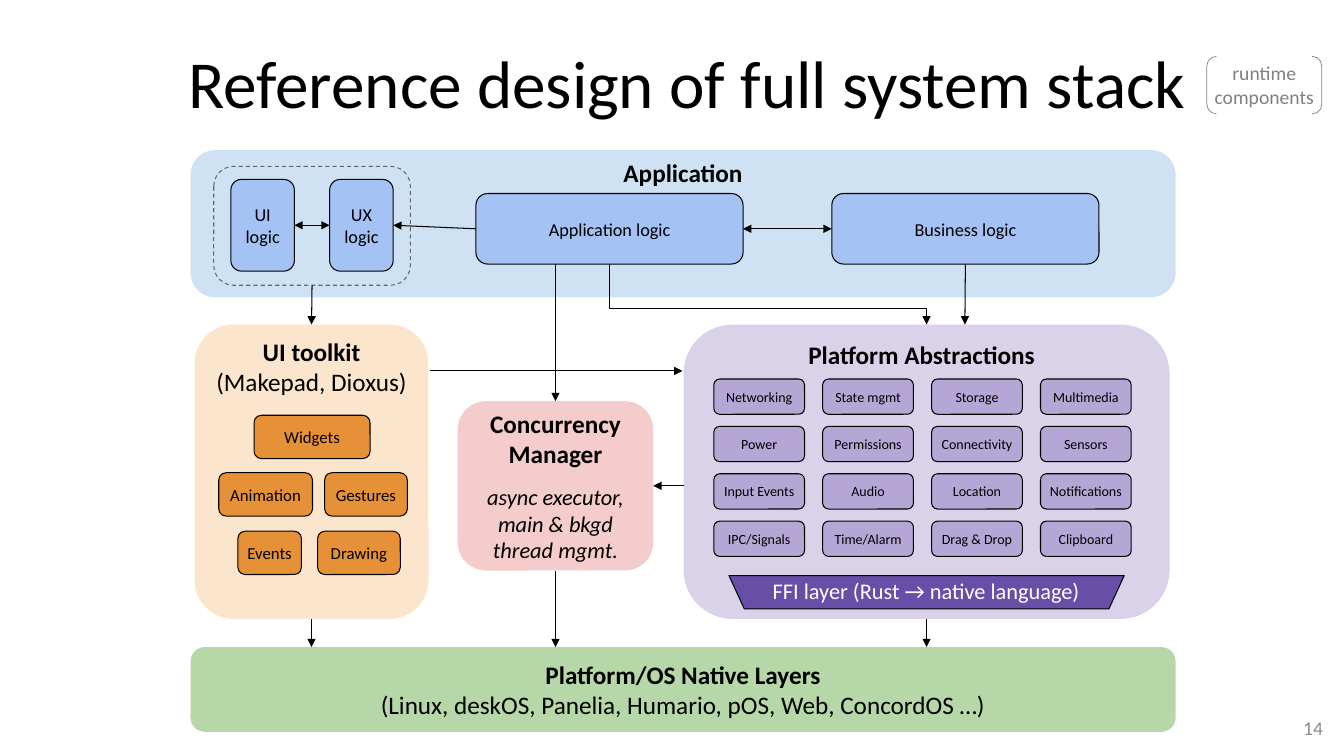
from dataclasses import dataclass
from typing import NamedTuple

from lxml.etree import SubElement
from pptx import Presentation
from pptx.dml.color import RGBColor
from pptx.enum.dml import MSO_LINE
from pptx.enum.shapes import MSO_CONNECTOR as Connector, MSO_SHAPE as Shape
from pptx.enum.text import MSO_ANCHOR as Anchor, PP_ALIGN as Align
from pptx.oxml.ns import qn
from pptx.util import Inches, Pt


@dataclass(frozen=True)
class Theme:
    """Colours, type sizes and line widths of the slide."""
    font: str = "Calibri"
    black: str = "000000"
    white: str = "FFFFFF"
    grey: str = "808080"
    number_grey: str = "8C8C8C"
    dash_grey: str = "666666"
    application: str = "CFE2F3"
    logic: str = "A4C2F4"
    toolkit: str = "FCE5CD"
    widget: str = "E69138"
    platform: str = "D9D2E9"
    service: str = "B4A7D6"
    ffi: str = "674EA7"
    manager: str = "F4CCCC"
    native: str = "B6D7A8"
    title_size: float = 48
    heading_size: float = 18
    detail_size: float = 16
    note_size: float = 14
    logic_size: float = 13
    widget_size: float = 12
    service_size: float = 10
    line_width: float = 0.75
    thin_width: float = 0.5


THEME = Theme()
TOP, LEFT, BOTTOM, RIGHT = range(4)


class Line(NamedTuple):
    """One paragraph of text with its look."""
    text: str
    size: float
    color: str = THEME.black
    bold: bool = False
    italic: bool = False
    before: float = 0


class Joint(NamedTuple):
    """The middle of one side of a shape."""
    shape: object
    side: int


def heading(text):
    """Describe a bold block heading."""
    return Line(text, THEME.heading_size, bold=True)


def write(shape, lines, anchor=Anchor.MIDDLE, align=Align.CENTER, insets=(0, 0, 0, 0)):
    """Fill the text frame of a shape with styled paragraphs."""
    frame = shape.text_frame
    frame.word_wrap = True
    frame.vertical_anchor = anchor
    (frame.margin_left, frame.margin_top,
     frame.margin_right, frame.margin_bottom) = map(Inches, insets)
    for index, line in enumerate(lines):
        paragraph = frame.add_paragraph() if index else frame.paragraphs[0]
        paragraph.text = line.text
        paragraph.alignment = align
        if line.before:
            paragraph.space_before = Pt(line.before)
        font = paragraph.font
        font.name, font.size = THEME.font, Pt(line.size)
        font.bold, font.italic = line.bold, line.italic
        font.color.rgb = RGBColor.from_string(line.color)


def add_text(slide, box, line, **layout):
    """Add a text box with one paragraph."""
    write(slide.shapes.add_textbox(*map(Inches, box)), [line], **layout)


def add_block(slide, box, fill=None, outline=None, lines=(), kind=Shape.ROUNDED_RECTANGLE,
              width=THEME.line_width, **layout):
    """Add a preset shape with optional fill, outline and text."""
    shape = slide.shapes.add_shape(kind, *map(Inches, box))
    shape.shadow.inherit = False
    if fill:
        shape.fill.solid()
        shape.fill.fore_color.rgb = RGBColor.from_string(fill)
    else:
        shape.fill.background()
    if outline:
        shape.line.color.rgb = RGBColor.from_string(outline)
        shape.line.width = Pt(width)
    else:
        shape.line.fill.background()
    if lines:
        write(shape, lines, **layout)
    return shape


def locate(end):
    """Give the slide position of a joint or of a point in inches."""
    if not isinstance(end, Joint):
        return tuple(map(Inches, end))
    shape, side = end
    x = shape.left + shape.width * {LEFT: 0, RIGHT: 2}.get(side, 1) // 2
    y = shape.top + shape.height * {TOP: 0, BOTTOM: 2}.get(side, 1) // 2
    return x, y


def style_arrow(connector, both=False):
    """Give a connector a black line and arrowheads, without shadow."""
    connector.line.color.rgb = RGBColor.from_string(THEME.black)
    connector.line.width = Pt(THEME.line_width)
    line = connector.line._get_or_add_ln()
    for tag in (["a:headEnd"] if both else []) + ["a:tailEnd"]:
        SubElement(line, qn(tag), type="triangle")
    SubElement(connector._element.spPr, qn("a:effectLst"))


def add_arrow(slide, start, end, both=False):
    """Add a straight arrow, joined to shapes where its ends are joints."""
    connector = slide.shapes.add_connector(Connector.STRAIGHT, *locate(start), *locate(end))
    if isinstance(start, Joint):
        connector.begin_connect(*start)
    if isinstance(end, Joint):
        connector.end_connect(*end)
    style_arrow(connector, both)


def add_elbow(slide, start, end, bend):
    """Add an arrow that goes down, right and down, turning at a share of its height."""
    (x1, y1), (x2, y2) = locate(start), locate(end)
    middle_x, middle_y = (x1 + x2) // 2, (y1 + y2) // 2
    half_drop, half_run = (y2 - y1) // 2, (x2 - x1) // 2
    connector = slide.shapes.add_connector(
        Connector.ELBOW, middle_x + half_drop, middle_y - half_run,
        middle_x - half_drop, middle_y + half_run)
    properties = connector._element.spPr
    properties.find(qn("a:xfrm")).set("rot", str(270 * 60000))
    guides = properties.find(qn("a:prstGeom")).find(qn("a:avLst"))
    SubElement(guides, qn("a:gd"), name="adj1", fmla=f"val {round(bend * 100000)}")
    style_arrow(connector)


def add_logic(slide, box, text):
    """Add a blue logic box of the application layer."""
    return add_block(slide, box, THEME.logic, THEME.black, [Line(text, THEME.logic_size)],
                     insets=(0.1, 0, 0.1, 0))


def add_toolkit(slide):
    """Add the UI toolkit block with its widgets."""
    toolkit = add_block(slide, (1.93, 3.22, 2.32, 2.92), THEME.toolkit, anchor=Anchor.TOP, lines=[
        heading("UI toolkit"), Line("(Makepad, Dioxus)", THEME.heading_size)])
    for text, left, top, width in [
            ("Widgets", 2.52, 4.12, 1.15), ("Animation", 2.17, 4.69, 0.93),
            ("Gestures", 3.22, 4.69, 0.82), ("Events", 2.36, 5.27, 0.63),
            ("Drawing", 3.15, 5.27, 0.82)]:
        add_block(slide, (left, top, width, 0.43), THEME.widget, THEME.black,
                  [Line(text, THEME.widget_size)])
    return toolkit


def add_platform(slide):
    """Add the platform abstractions block with its service grid and FFI layer."""
    platform = add_block(slide, (6.78, 3.22, 4.82, 2.92), THEME.platform, anchor=Anchor.TOP,
                         lines=[heading("Platform Abstractions")], insets=(0, 0, 0.1, 0))
    services = [("Networking", "State mgmt", "Storage", "Multimedia"),
                ("Power", "Permissions", "Connectivity", "Sensors"),
                ("Input Events", "Audio", "Location", "Notifications"),
                ("IPC/Signals", "Time/Alarm", "Drag & Drop", "Clipboard")]
    for row, names in enumerate(services):
        for column, name in enumerate(names):
            add_block(slide, (7.08 + 1.08 * column, 3.76 + 0.47 * row, 0.9, 0.35),
                      THEME.service, THEME.black, [Line(name, THEME.service_size)])
    ffi = add_block(slide, (7.23, 5.71, 3.92, 0.33), THEME.ffi, THEME.black, kind=Shape.TRAPEZOID)
    ffi.adjustments[0] = 0.46
    ffi.rotation = 180
    add_text(slide, (7.08, 5.73, 4.21, 0.44), Line(
        "FFI layer (Rust → native language)", THEME.detail_size, THEME.white), anchor=Anchor.TOP)
    return platform


def main():
    """Build the slide and save it."""
    presentation = Presentation()
    presentation.slide_width, presentation.slide_height = Inches(13.33), Inches(7.5)
    slide = presentation.slides.add_slide(presentation.slide_layouts[6])

    add_text(slide, (10.22, 7.02, 3, 0.4), Line("14", THEME.note_size, THEME.number_grey),
             align=Align.RIGHT, insets=(0.1, 0.05, 0.1, 0.05))
    add_text(slide, (1.87, 0.41, 11.95, 0.83), Line(
        "Reference design of full system stack", THEME.title_size),
        anchor=Anchor.TOP, align=Align.LEFT)
    add_text(slide, (11.76, 0.56, 1.56, 0.57), Line(
        "runtime components", THEME.note_size, THEME.grey),
        anchor=Anchor.TOP, insets=(0.1, 0.05, 0.1, 0.05))
    add_block(slide, (11.97, 0.56, 1.14, 0.57), outline=THEME.grey,
              kind=Shape.DOUBLE_BRACKET, width=THEME.thin_width)

    add_block(slide, (1.89, 1.49, 9.77, 1.46), THEME.application, anchor=Anchor.TOP,
              lines=[heading("Application")], insets=(0.1, 0, 0.1, 0))
    interface = add_block(slide, (2.12, 1.65, 1.95, 1.18), outline=THEME.dash_grey)
    interface.line.dash_style = MSO_LINE.DASH
    ui_logic = add_logic(slide, (2.29, 1.78, 0.63, 0.91), "UI logic")
    ux_logic = add_logic(slide, (3.27, 1.78, 0.63, 0.91), "UX logic")
    application_logic = add_logic(slide, (4.72, 1.92, 2.65, 0.7), "Application logic")
    business_logic = add_logic(slide, (8.25, 1.92, 2.65, 0.7), "Business logic")

    toolkit = add_toolkit(slide)
    platform = add_platform(slide)
    manager = add_block(slide, (4.54, 3.98, 1.94, 1.68), THEME.manager, insets=(0.1, 0, 0.1, 0), lines=[
        heading("Concurrency Manager"),
        Line("async executor,\vmain & bkgd thread mgmt.", THEME.detail_size, italic=True, before=10)])
    add_block(slide, (1.89, 6.42, 9.77, 0.84), THEME.native, insets=(0.1, 0, 0.1, 0), lines=[
        heading("Platform/OS Native Layers"),
        Line("(Linux, deskOS, Panelia, Humario, pOS, Web, ConcordOS …)", THEME.heading_size)])

    add_arrow(slide, Joint(ui_logic, RIGHT), Joint(ux_logic, LEFT), both=True)
    add_arrow(slide, Joint(application_logic, LEFT), Joint(ux_logic, RIGHT))
    add_arrow(slide, Joint(application_logic, RIGHT), Joint(business_logic, LEFT), both=True)
    add_arrow(slide, Joint(interface, BOTTOM), Joint(toolkit, TOP))
    add_arrow(slide, (5.51, 2.62), Joint(manager, TOP))
    add_elbow(slide, Joint(application_logic, BOTTOM), Joint(platform, TOP), 0.73)
    add_arrow(slide, Joint(business_logic, BOTTOM), (9.57, 3.22))
    add_arrow(slide, (4.26, 3.68), (6.77, 3.68))
    add_arrow(slide, (6.78, 4.82), Joint(manager, RIGHT))
    for block, x in [(toolkit, 3.09), (manager, 5.51), (platform, 9.19)]:
        add_arrow(slide, Joint(block, BOTTOM), (x, 6.42))

    presentation.save("out.pptx")


if __name__ == "__main__":
    main()
